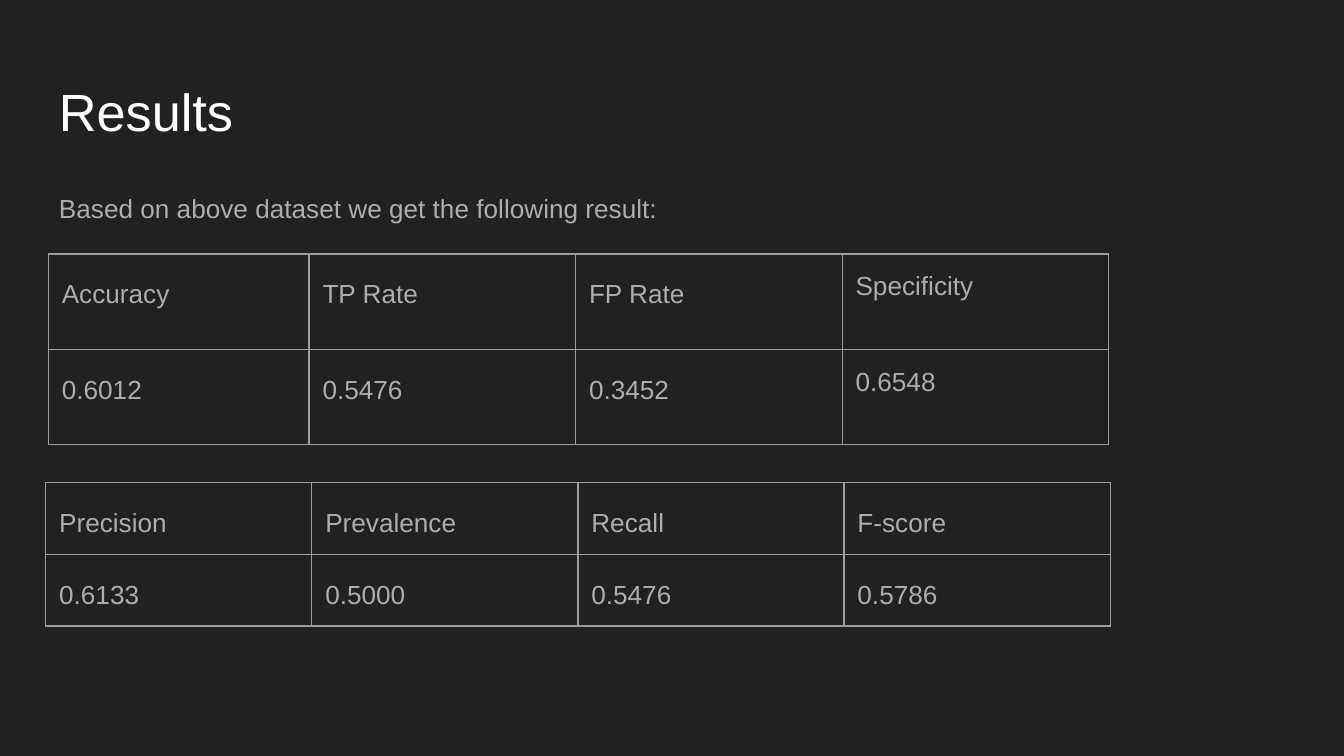
from dataclasses import dataclass

from lxml import etree
from pptx import Presentation
from pptx import util as u
from pptx.dml.color import RGBColor
from pptx.enum import text
from pptx.oxml import ns


@dataclass(frozen=True)
class Theme:
    """Colours, font and sizes of the slide."""
    back: str = "212121"
    head: str = "FFFFFF"
    body: str = "ADADAD"
    rule: str = "9E9E9E"
    font: str = "Arial"
    big: int = 28
    small: int = 14
    pad: float = 0.1
    line: float = 0.75
    loose: float = 1.43
    tight: float = 1.15
    after: int = 16
    frame: float = 3.28


T = Theme()


def style(para, words, size, color, lead=1.0, after=0):
    """Fill a paragraph and set its font and spacing."""
    para.text = words
    para.font.name = T.font
    para.font.size = u.Pt(size)
    para.font.color.rgb = RGBColor.from_string(color)
    para.line_spacing = lead
    para.space_before = u.Pt(0)
    para.space_after = u.Pt(after)


def pad(item):
    """Give a cell or text frame equal margins."""
    for side in ("left", "top", "right", "bottom"):
        setattr(item, "margin_" + side, u.Inches(T.pad))


def label(slide, box, words, size, color, lead=1.0):
    """Place one line of text in a box."""
    frame = slide.shapes.add_textbox(*map(u.Inches, box)).text_frame
    frame.word_wrap = True
    frame.vertical_anchor = text.MSO_ANCHOR.TOP
    pad(frame)
    style(frame.paragraphs[0], words, size, color, lead)


def border(cell):
    """Draw a thin rule on each side of a cell."""
    props = cell._tc.get_or_add_tcPr()
    for spot, side in enumerate(("lnL", "lnR", "lnT", "lnB")):
        edge = etree.Element(ns.qn("a:" + side), w=str(u.Pt(T.line)))
        fill = etree.SubElement(edge, ns.qn("a:solidFill"))
        etree.SubElement(fill, ns.qn("a:srgbClr"), val=T.rule)
        props.insert(spot, edge)


def grid(slide, left, top, widths, high, rows, tight=()):
    """Place a ruled table; tight columns use closer lines."""
    box = map(u.Inches, (left, top, T.frame, T.frame))
    shape = slide.shapes.add_table(len(rows), len(widths), *box)
    table = shape.table
    table.first_row = table.horz_banding = False
    for col, wide in zip(table.columns, widths):
        col.width = u.Inches(wide)
    for r, row in enumerate(rows):
        table.rows[r].height = u.Inches(high)
        for c, words in enumerate(row):
            cell = table.cell(r, c)
            cell.fill.background()
            pad(cell)
            border(cell)
            lead, after = (T.tight, T.after) if c in tight else (T.loose, 0)
            style(cell.text_frame.paragraphs[0], words, T.small, T.body,
                  lead, after)
    shape.width = shape.height = u.Inches(T.frame)


def results(deck):
    """Build the results slide."""
    slide = deck.slides.add_slide(deck.slide_layouts[6])
    slide.background.fill.solid()
    slide.background.fill.fore_color.rgb = RGBColor.from_string(T.back)
    left, wide = 0.34, 9.32
    label(slide, (left, 0.49, wide, 0.63), "Results", T.big, T.head)
    label(slide, (left, 1.23, wide, 3.74),
          "Based on above dataset we get the following result:",
          T.small, T.body, T.loose)
    first, total = 1.94, 7.89
    grid(slide, 0.36, 1.89, [first] + [(total - first) / 3] * 3, 0.71,
         [("Accuracy", "TP Rate", "FP Rate", "Specificity"),
          ("0.6012", "0.5476", "0.3452", "0.6548")], tight=(3,))
    grid(slide, left, 3.59, [1.98] * 4, 0.42,
         [("Precision", "Prevalence", "Recall", "F-score"),
          ("0.6133", "0.5000", "0.5476", "0.5786")])


deck = Presentation()
deck.slide_width = u.Inches(10)
deck.slide_height = u.Inches(10 * 9 / 16)
results(deck)
deck.save("out.pptx")
